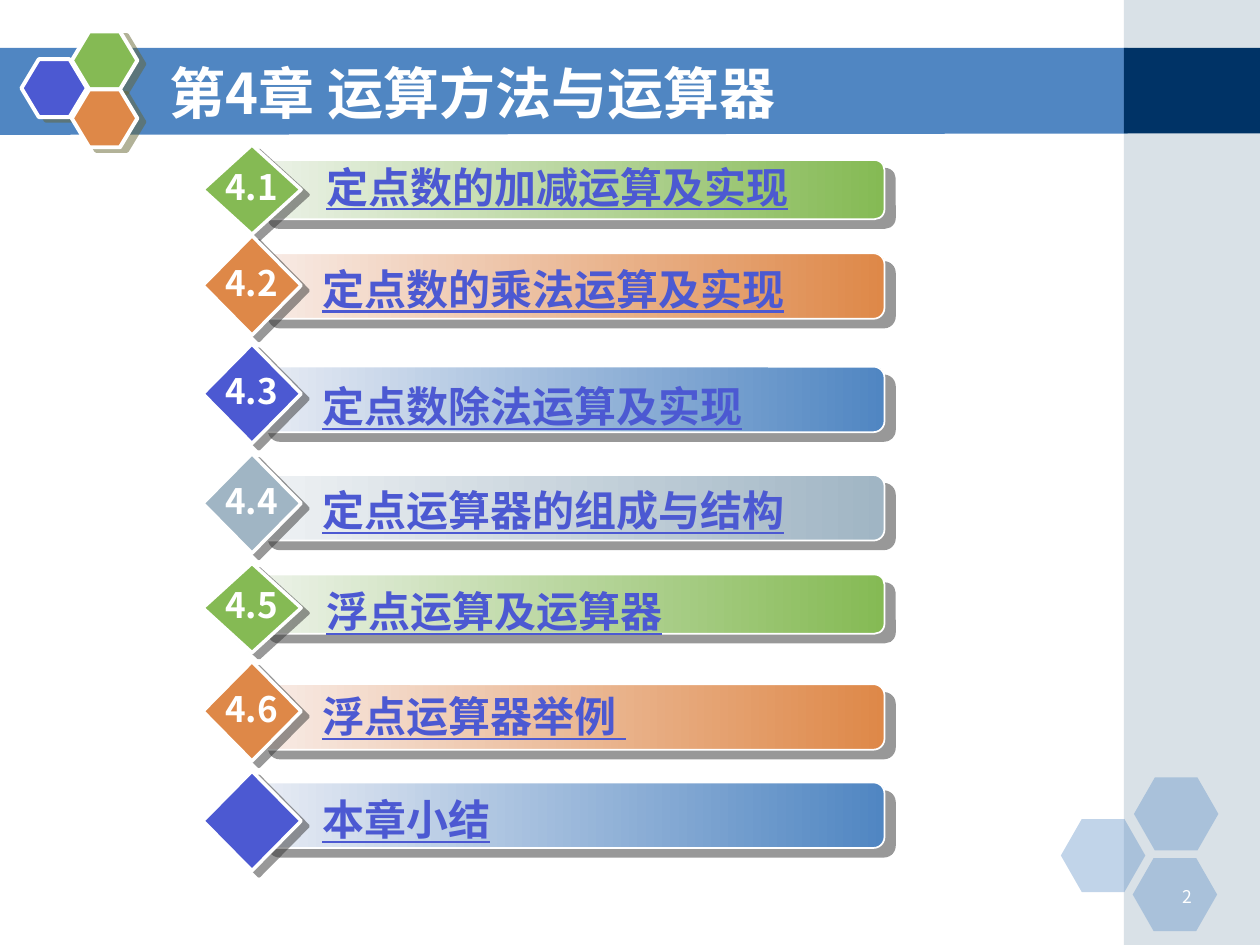
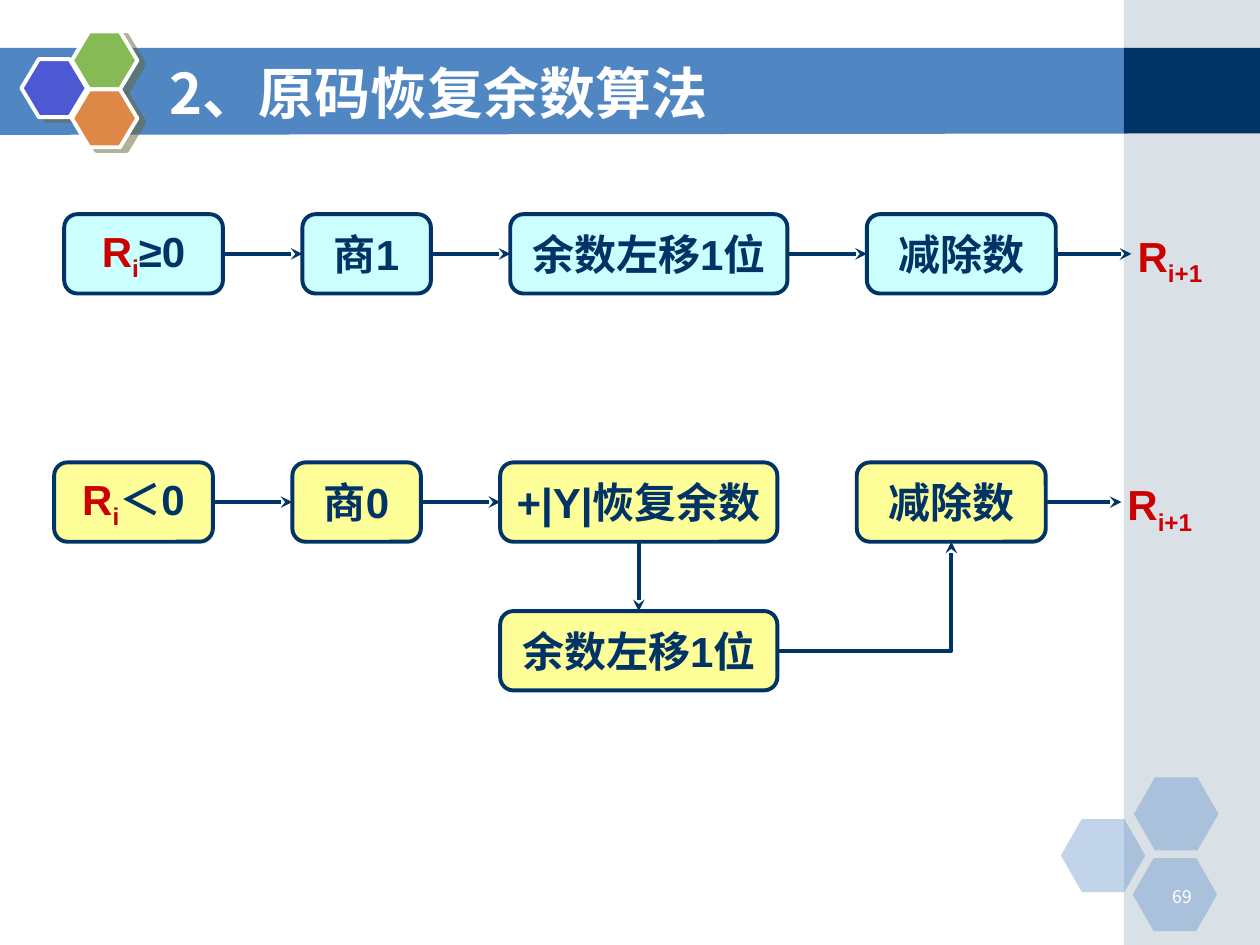
"""Build the chapter outline and the restoring-division flow slides."""
import pptx
import pptx.dml.color
import pptx.enum.shapes
import pptx.enum.text
import pptx.util
from lxml import etree
from pptx.oxml.ns import qn

RGB = pptx.dml.color.RGBColor
Inches, Pt = pptx.util.Inches, pptx.util.Pt
SHAPE = pptx.enum.shapes.MSO_SHAPE
CONNECTOR = pptx.enum.shapes.MSO_CONNECTOR
ALIGN = pptx.enum.text.PP_ALIGN
MIDDLE = pptx.enum.text.MSO_ANCHOR.MIDDLE

WHITE = RGB(0xFF, 0xFF, 0xFF)
NAVY = RGB(0x00, 0x33, 0x66)
BLUE = RGB(0x50, 0x86, 0xC2)
INDIGO = RGB(0x4C, 0x59, 0xD2)
GREEN = RGB(0x85, 0xBA, 0x54)
ORANGE = RGB(0xDE, 0x88, 0x48)
GREY = RGB(0xA0, 0xB5, 0xC4)
PALE_GREEN = RGB(0xEC, 0xF2, 0xE8)
PALE_ORANGE = RGB(0xF8, 0xEC, 0xE7)
PALE_BLUE = RGB(0xE8, 0xEC, 0xF4)
PALE_GREY = RGB(0xEF, 0xF2, 0xF4)
RED = RGB(0xCC, 0x00, 0x00)
CYAN = RGB(0xCC, 0xFF, 0xFF)
YELLOW = RGB(0xFF, 0xFF, 0x99)
OLIVE_SHADOW = RGB(0x66, 0x66, 0x33)
DARK_SHADOW = RGB(0x33, 0x33, 0x33)
CJK, LATIN = "Noto Sans CJK SC", "Arial"

OUTLINE = {"title": "第4章 运算方法与运算器", "page": "2"}
THEMES = {
    "green": (GREEN, PALE_GREEN, GREEN),
    "orange": (ORANGE, PALE_ORANGE, ORANGE),
    "blue": (INDIGO, PALE_BLUE, BLUE),
    "grey": (GREY, PALE_GREY, GREY),
}
# number, topic, theme, then the tops of diamond, bar and topic
SECTIONS = [
    ("4.1", "定点数的加减运算及实现", "green", 1.15, 1.27, 1.23),
    ("4.2", "定点数的乘法运算及实现", "orange", 1.87, 2.01, 2.04),
    ("4.3", "定点数除法运算及实现", "blue", 2.73, 2.91, 2.97),
    ("4.4", "定点运算器的组成与结构", "grey", 3.6, 3.77, 3.8),
    ("4.5", "浮点运算及运算器", "green", 4.47, 4.56, 4.6),
    ("4.6", "浮点运算器举例 ", "orange", 5.25, 5.43, 5.43),
    ("", "本章小结", "blue", 6.12, 6.21, 6.25),
]

DIVISION = {"title": "2、原码恢复余数算法", "page": "69"}
REMAINDER = [("R", RED, False), ("i", RED, True)]
NEXT_REMAINDER = [("R", RED, False), ("i+1", RED, True)]
SHIFT = "余数左移1位"
POSITIVE = ["≥0", "商1", SHIFT, "减除数"]
NEGATIVE = ["＜0", "商0", "+|Y|恢复余数", "减除数"]
STEP_WIDTHS = [1.26, 1.02, 2.2, 1.5]
STEP_GAP, STEP_HEIGHT, ARROW = 0.63, 0.63, 0.6
SHIFT_DROP = 1.18

LOGO = [(0.17, 0.47, INDIGO), (0.57, 0.25, GREEN), (0.57, 0.71, ORANGE)]
CORNER = [(8.42, 6.5), (9, 6.17), (8.99, 6.81)]


def add_run(paragraph, text, size, color, font=CJK, bold=True, underline=None, sub=False):
    run = paragraph.add_run()
    run.text = text
    run.font.size, run.font.bold, run.font.underline = Pt(size), bold, underline
    run.font.color.rgb = color
    run.font.name = font
    properties = run._r.get_or_add_rPr()
    etree.SubElement(properties, qn("a:ea")).set("typeface", CJK)
    if sub:
        properties.set("baseline", "-25000")


def add_label(slide, box, anchor=None, indent=0.1):
    frame = slide.shapes.add_textbox(*map(Inches, box)).text_frame
    frame.word_wrap = True
    frame.vertical_anchor = anchor
    frame.margin_left = Inches(indent)
    return frame.paragraphs[0]


def add_shape(slide, kind, box, fill, line=None, width=1, adjust=None):
    shape = slide.shapes.add_shape(kind, *map(Inches, box))
    if adjust:
        shape.adjustments[0] = adjust
    paint(shape, fill, line, width)
    return shape


def paint(shape, fill, line=None, width=1):
    shape.shadow.inherit = False
    if isinstance(fill, tuple) and not isinstance(fill, RGB):
        shape.fill.gradient()
        shape.fill.gradient_angle = 0
        for stop, color in zip(shape.fill.gradient_stops, fill):
            stop.color.rgb = color
    else:
        shape.fill.solid()
        shape.fill.fore_color.rgb = fill
    if line is None:
        shape.line.fill.background()
    else:
        shape.line.color.rgb = line
        shape.line.width = Pt(width)


def add_alpha(color, percent):
    etree.SubElement(color, qn("a:alpha")).set("val", str(percent * 1000))


def make_translucent(shape, percent):
    add_alpha(shape._element.spPr.find(qn("a:solidFill"))[0], percent)


def cast_shadow(shape, color, distance, degrees):
    effects = shape._element.spPr.find(qn("a:effectLst"))
    shadow = etree.SubElement(effects, qn("a:outerShdw"))
    shadow.set("dist", str(Pt(distance)))
    shadow.set("dir", str(degrees * 60000))
    shadow.set("algn", "ctr")
    shadow.set("rotWithShape", "0")
    tint = etree.SubElement(shadow, qn("a:srgbClr"))
    tint.set("val", str(color))
    add_alpha(tint, 50)


def add_frame(deck, content):
    slide = deck.slides.add_slide(deck.slide_layouts[6])
    outline = slide.shapes.build_freeform(0, Inches(0.38), scale=1.0)
    corners = [(8.95, 0.38), (8.95, 1.06), (0, 1.07)]
    outline.add_line_segments([(Inches(x), Inches(y)) for x, y in corners])
    paint(outline.convert_to_shape(), BLUE)
    make_translucent(add_shape(slide, SHAPE.RECTANGLE, (8.92, 0, 1.08, 7.5), GREY), 40)
    add_shape(slide, SHAPE.RECTANGLE, (8.92, 0.38, 1.08, 0.68), NAVY)
    for left, top in CORNER:
        cell = add_shape(slide, SHAPE.HEXAGON, (left, top, 0.67, 0.58), BLUE, adjust=0.286)
        make_translucent(cell, 35)
    for left, top, color in LOGO:
        cell = add_shape(slide, SHAPE.HEXAGON, (left, top, 0.52, 0.46), color, WHITE, 2.25, 0.3)
        cast_shadow(cell, OLIVE_SHADOW, 4.5, 27)
    page = add_label(slide, (9.06, 6.98, 0.5, 0.25))
    page.alignment = ALIGN.RIGHT
    add_run(page, content["page"], 10, WHITE, bold=False)
    title = add_label(slide, (1.25, 0.42, 7.33, 0.62), MIDDLE)
    add_run(title, content["title"], 32, WHITE)
    return slide


def add_section(slide, number, topic, theme, diamond_top, bar_top, topic_top):
    color, pale, deep = THEMES[theme]
    compact = theme == "green"
    diamond_height, bar_height, topic_left = (0.71, 0.47, 2.34) if compact else (0.79, 0.52, 2.31)
    bar = add_shape(slide, SHAPE.ROUNDED_RECTANGLE, (2.05, bar_top, 4.97, bar_height),
                    (pale, deep), WHITE, 1, 0.167)
    cast_shadow(bar, DARK_SHADOW, 7.8, 40)
    diamond = add_shape(slide, SHAPE.DIAMOND, (1.61, diamond_top, 0.78, diamond_height),
                        color, WHITE, 2)
    cast_shadow(diamond, DARK_SHADOW, 5, 37)
    add_run(add_label(slide, (topic_left, topic_top, 4.66, 0.5), indent=0.25),
            topic, 24, INDIGO, underline=True)
    if number:
        number_top = diamond_top + diamond_height / 2 - 0.24
        add_run(add_label(slide, (1.69, number_top, 0.7, 0.43)), number, 20, WHITE)


def add_step(slide, left, top, width, runs, fill):
    step = add_shape(slide, SHAPE.ROUNDED_RECTANGLE, (left, top, width, STEP_HEIGHT),
                     fill, NAVY, 2.25, 0.167)
    frame = step.text_frame
    frame.word_wrap = False
    frame.vertical_anchor = MIDDLE
    frame.paragraphs[0].alignment = ALIGN.CENTER
    for text, color, sub in runs:
        add_run(frame.paragraphs[0], text, 24, color, LATIN, sub=sub)
    return step


def add_arrow(slide, start, start_side, end=None, end_side=1, kind=CONNECTOR.STRAIGHT):
    right, middle = start.left + start.width, start.top + start.height // 2
    arrow = slide.shapes.add_connector(kind, right, middle, right + Inches(ARROW), middle)
    arrow.begin_connect(start, start_side)
    if end is not None:
        arrow.end_connect(end, end_side)
    arrow.line.color.rgb = NAVY
    arrow.line.width = Pt(2.25)
    arrow.line._get_or_add_ln().append(
        arrow._element.makeelement(qn("a:tailEnd"), {"type": "stealth"}))
    etree.SubElement(arrow._element.spPr, qn("a:effectLst"))
    return arrow


def add_flow(slide, left, top, labels, fill, links):
    steps = []
    for column, (label, width) in enumerate(zip(labels, STEP_WIDTHS)):
        runs = (REMAINDER if column == 0 else []) + [(label, NAVY, False)]
        steps.append(add_step(slide, left, top, width, runs, fill))
        left += width + STEP_GAP
    for column in links:
        add_arrow(slide, steps[column], 3, steps[column + 1])
    add_arrow(slide, steps[-1], 3)
    result = add_label(slide, (left - STEP_GAP + 0.55, top + 0.08, 0.76, 0.5))
    for text, color, sub in NEXT_REMAINDER:
        add_run(result, text, 24, color, LATIN, sub=sub)
    return steps


def build_outline(deck):
    slide = add_frame(deck, OUTLINE)
    for section in SECTIONS:
        add_section(slide, *section)


def build_division(deck):
    slide = add_frame(deck, DIVISION)
    add_flow(slide, 0.51, 1.7, POSITIVE, CYAN, [0, 1, 2])
    steps = add_flow(slide, 0.43, 3.67, NEGATIVE, YELLOW, [0, 1])
    restore, subtract = steps[2:]
    shift = add_step(slide, restore.left.inches, restore.top.inches + SHIFT_DROP,
                     STEP_WIDTHS[2], [(SHIFT, NAVY, False)], YELLOW)
    add_arrow(slide, restore, 2, shift, 0)
    turn = add_arrow(slide, shift, 3, subtract, 2, CONNECTOR.ELBOW)
    turn._element.spPr.find(qn("a:prstGeom")).set("prst", "bentConnector2")


def main():
    deck = pptx.Presentation()
    deck.slide_width, deck.slide_height = Inches(10), Inches(7.5)
    build_outline(deck)
    build_division(deck)
    deck.save("out.pptx")


if __name__ == "__main__":
    main()
